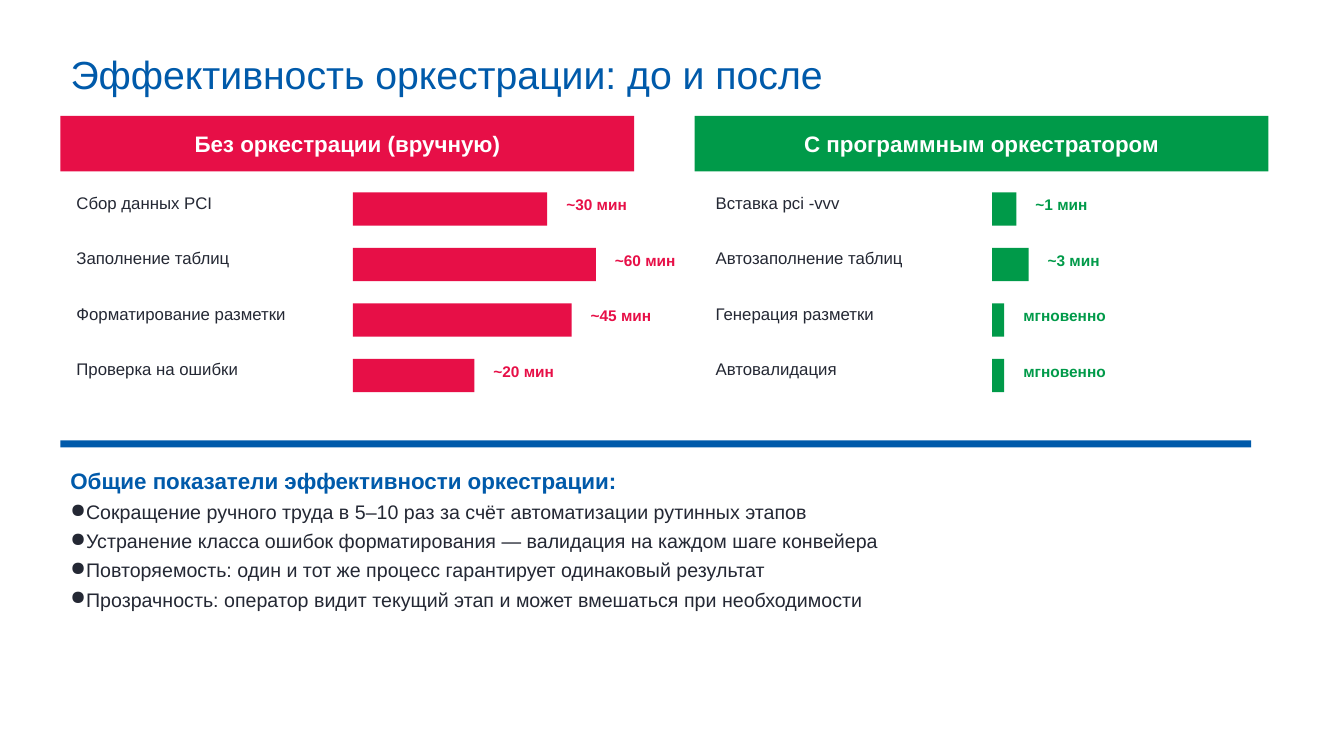
from lxml import etree
from pptx import Presentation
from pptx.dml.color import RGBColor
from pptx.enum import shapes, text
from pptx.oxml import ns
from pptx.util import Inches, Pt

BLUE, RED, GREEN, DARK, WHITE = "005AAA", "E70F47", "009A49", "242834", "FFFFFF"
ROW_STEP = 0.55
FULL_BAR = 2.41

MANUAL = [
    ("Сбор данных PCI", 0.8, "~30 мин"),
    ("Заполнение таблиц", 1, "~60 мин"),
    ("Форматирование разметки", 0.9, "~45 мин"),
    ("Проверка на ошибки", 0.5, "~20 мин"),
]
ORCHESTRATED = [
    ("Вставка pci -vvv", 0.1, "~1 мин"),
    ("Автозаполнение таблиц", 0.15, "~3 мин"),
    ("Генерация разметки", 0.05, "мгновенно"),
    ("Автовалидация", 0.05, "мгновенно"),
]
BENEFITS = [
    "Сокращение ручного труда в 5–10 раз за счёт автоматизации рутинных этапов",
    "Устранение класса ошибок форматирования — валидация на каждом шаге конвейера",
    "Повторяемость: один и тот же процесс гарантирует одинаковый результат",
    "Прозрачность: оператор видит текущий этап и может вмешаться при необходимости",
]


def rgb(value):
    """Turn a hex string into a colour."""
    return RGBColor.from_string(value)


def write(paragraph, words, size, color, bold=False):
    """Add one formatted run to a paragraph."""
    run = paragraph.add_run()
    run.text = words
    run.font.name = "Arial"
    run.font.size = Pt(size)
    run.font.bold = bold
    run.font.color.rgb = rgb(color)


def add_block(slide, left, top, width, height, color):
    """Add a plain filled rectangle."""
    block = slide.shapes.add_shape(
        shapes.MSO_SHAPE.RECTANGLE, *map(Inches, (left, top, width, height)))
    block.shadow.inherit = False
    block.fill.solid()
    block.fill.fore_color.rgb = rgb(color)
    block.line.fill.background()
    return block


def add_text(slide, left, top, width, height):
    """Add a wrapping text box and return its frame."""
    frame = slide.shapes.add_textbox(
        *map(Inches, (left, top, width, height))).text_frame
    frame.word_wrap = True
    frame.auto_size = text.MSO_AUTO_SIZE.SHAPE_TO_FIT_TEXT
    return frame


def add_title(slide, left, top, width, height):
    """Place and format the slide title."""
    title = slide.shapes.title
    title.left, title.top, title.width, title.height = map(
        Inches, (left, top, width, height))
    frame = title.text_frame
    frame.vertical_anchor = text.MSO_ANCHOR.TOP
    frame.auto_size = text.MSO_AUTO_SIZE.SHAPE_TO_FIT_TEXT
    heading = frame.paragraphs[0]
    heading.alignment = text.PP_ALIGN.LEFT
    write(heading, "Эффективность оркестрации: до и после", 28, BLUE)


def add_header(slide, left, top, width, height, words, color):
    """Add the coloured heading of a column."""
    frame = add_block(slide, left, top, width, height, color).text_frame
    frame.word_wrap = True
    frame.vertical_anchor = text.MSO_ANCHOR.MIDDLE
    frame.paragraphs[0].alignment = text.PP_ALIGN.CENTER
    write(frame.paragraphs[0], words, 16, WHITE, True)


def add_bars(slide, left, top, steps, color):
    """Add rows of step name, bar and duration."""
    bar_left = left + 2.84
    for row, (step, share, duration) in enumerate(steps):
        row_top = top + row * ROW_STEP
        bar_width = FULL_BAR * share
        name = add_text(slide, left, row_top, 2.73, 0.44)
        write(name.paragraphs[0], step, 12, DARK)
        add_block(slide, bar_left, row_top + 0.05, bar_width, 0.33, color)
        time = add_text(slide, bar_left + bar_width + 0.09, row_top + 0.03, 1.09, 0.38)
        write(time.paragraphs[0], duration, 11, color, True)


def add_summary(slide, left, top, width, height):
    """Add the dividing rule and the bulleted benefits."""
    add_block(slide, left, top, width, 0.07, BLUE)
    frame = add_text(slide, left, top + 0.22, width, height - 0.22)
    write(frame.paragraphs[0], "Общие показатели эффективности оркестрации:", 16, BLUE, True)
    for benefit in BENEFITS:
        item = frame.add_paragraph()
        item.space_before = Pt(4)
        bullet = etree.SubElement(item._p.get_or_add_pPr(), ns.qn("a:buChar"))
        bullet.set("char", "●")
        write(item, benefit, 14, DARK)


def main():
    """Build and save the slide."""
    deck = Presentation()
    deck.slide_width, deck.slide_height = Inches(13.33), Inches(7.5)
    slide = deck.slides.add_slide(deck.slide_layouts[5])
    add_title(slide, 0.6, 0.45, 10.51, 0.44)
    add_header(slide, 0.6, 1.15, 5.69, 0.55, "Без оркестрации (вручную)", RED)
    add_bars(slide, 0.66, 1.86, MANUAL, RED)
    add_header(slide, 6.89, 1.15, 5.69, 0.55, "С программным оркестратором", GREEN)
    add_bars(slide, 7, 1.86, ORCHESTRATED, GREEN)
    add_summary(slide, 0.6, 4.37, 11.81, 3.06)
    deck.save("out.pptx")


if __name__ == "__main__":
    main()
